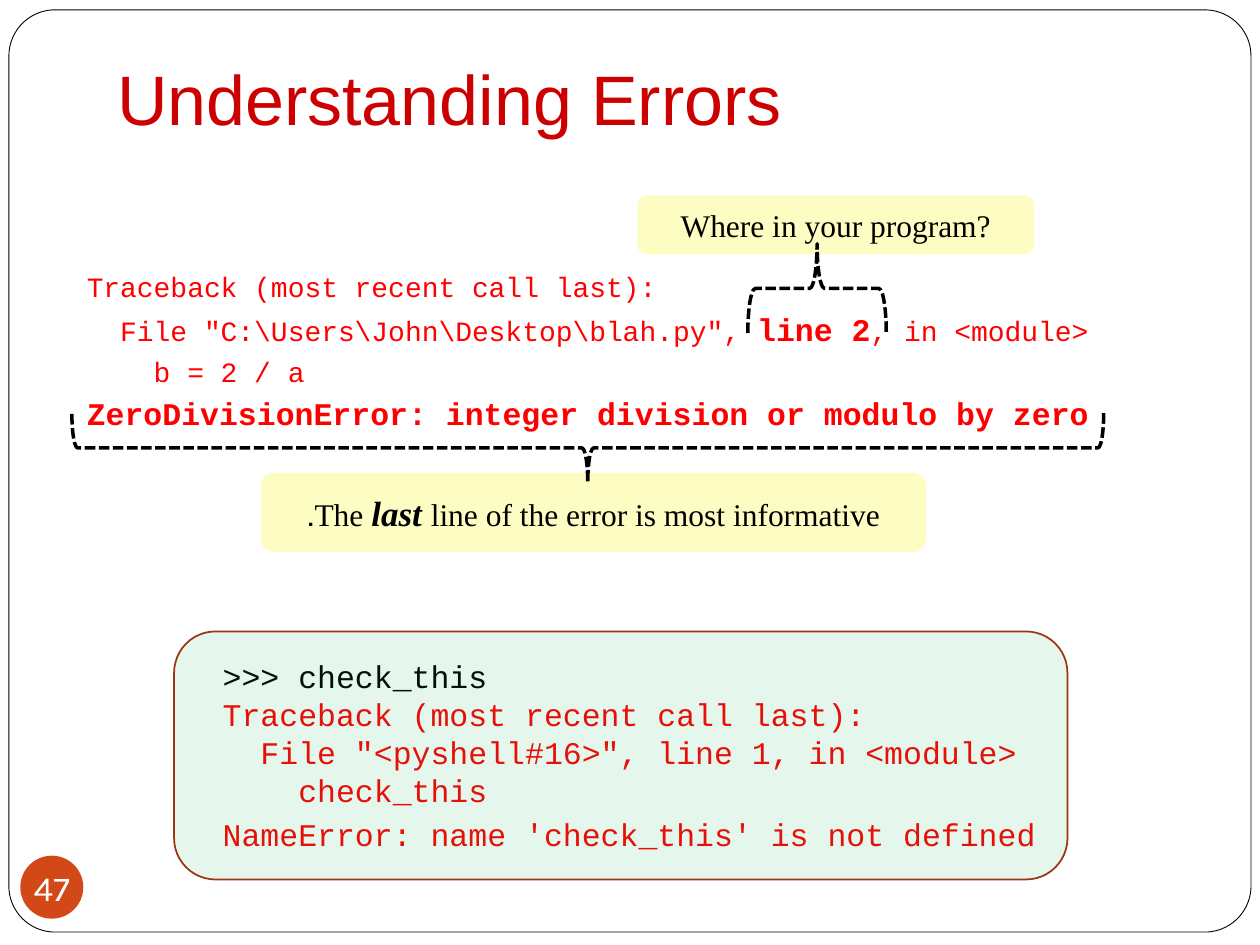
import pptx
import pptx.util
import pptx.dml.color
import pptx.enum.dml
import pptx.enum.shapes
import pptx.enum.text
import lxml.etree

Cm, Pt = pptx.util.Cm, pptx.util.Pt
SHAPE = pptx.enum.shapes.MSO_SHAPE
ALIGN = pptx.enum.text.PP_ALIGN
ANCHOR = pptx.enum.text.MSO_ANCHOR
DASH = pptx.enum.dml.MSO_LINE.SQUARE_DOT

RED, BLACK, WHITE, CREAM = "FF0000", "000000", "FFFFFF", "FDFDC3"

TITLE = {"size": 40, "name": "Arial", "color": "CC0000"}
NUMBER = {"size": 20, "name": "Karla", "color": WHITE}
NOTE = {"size": 18, "name": "Times New Roman", "color": BLACK}
STRESS = {**NOTE, "size": 20, "bold": True, "italic": True}
TRACE = {"size": 16, "name": "Courier New", "color": RED}
KEY = {**TRACE, "size": 18, "bold": True}
ERROR = {**TRACE, "size": 18}
PROMPT = {**ERROR, "color": BLACK}

traceback_lines = [
    [("Traceback (most recent call last):", TRACE)],
    [('  File "C:\\Users\\John\\Desktop\\blah.py", ', TRACE), ("line 2", KEY),
     (", in <module>", TRACE)],
    [("    b = 2 / a", TRACE)],
    [("ZeroDivisionError: integer division or modulo by zero", KEY)],
]
shell_lines = [
    [(">>> check_this", PROMPT)],
    [("Traceback (most recent call last):", ERROR)],
    [('  File "<pyshell#16>", line 1, in <module>', ERROR)],
    [("    check_this", ERROR)],
    [("NameError: name 'check_this' is not defined", ERROR)],
]
where_note = [[("Where in your program?", NOTE)]]
last_note = [[("The ", NOTE), ("last ", STRESS),
              ("line of the error is most informative.", NOTE)]]

callouts = [
    ((12.85, 3.94, 8, 1.19), where_note, False),
    ((5.26, 9.53, 13.41, 1.6), last_note, True),
]
braces = [
    ((11.15, -1.37, 1.4, 20.8), 270),
    ((15.57, 4.42, 1.8, 2.79), 90),
]


def rgb(value):
    return pptx.dml.color.RGBColor.from_string(value)


def add_outline(kind, box, fill=None, line=None, width=1, adjust=None):
    shape = slide.shapes.add_shape(kind, *map(Cm, box))
    shape.shadow.inherit = False
    if adjust is not None:
        shape.adjustments[0] = adjust
    if fill:
        shape.fill.solid()
        shape.fill.fore_color.rgb = rgb(fill)
    else:
        shape.fill.background()
    if line:
        shape.line.color.rgb = rgb(line)
        shape.line.width = Pt(width)
    else:
        shape.line.fill.background()
    return shape


def write(shape, lines, align=ALIGN.LEFT, rtl=False, line_factor=None,
          before=(), **frame_format):
    frame = shape.text_frame
    for key, value in {"word_wrap": True, **frame_format}.items():
        setattr(frame, key, value)
    for index, runs in enumerate(lines):
        paragraph = frame.add_paragraph() if index else frame.paragraphs[0]
        paragraph.alignment = align
        if rtl:
            paragraph._p.get_or_add_pPr().set("rtl", "1")
        if line_factor:
            tallest = max(style["size"] for _, style in runs)
            paragraph.line_spacing = Pt(round(tallest * line_factor, 1))
        if before and index:
            paragraph.space_before = Pt(before[index])
        for text, style in runs:
            run = paragraph.add_run()
            run.text = text
            for key, value in style.items():
                if key == "color":
                    run.font.color.rgb = rgb(value)
                else:
                    setattr(run.font, key, Pt(value) if key == "size" else value)


def add_text(box, lines, **text_format):
    write(slide.shapes.add_textbox(*map(Cm, box)), lines, **text_format)


presentation = pptx.Presentation()
presentation.slide_width, presentation.slide_height = Cm(25.4), Cm(19.05)
slide = presentation.slides.add_slide(presentation.slide_layouts[6])

add_outline(SHAPE.ROUNDED_RECTANGLE, (0.18, 0.2, 25.04, 18.59), WHITE, BLACK, 0.5, 0.05)

add_text((1.5, 5.38, 21.59, 4.06), traceback_lines, line_factor=1.08,
         before=[5.8] * len(traceback_lines))

badge = add_outline(SHAPE.OVAL, (0.41, 17.25, 1.27, 1.27), "D34817")
write(badge, [[("47", NUMBER)]], ALIGN.CENTER, word_wrap=False,
      vertical_anchor=ANCHOR.MIDDLE, margin_left=0, margin_right=0,
      margin_top=0, margin_bottom=0)

for box, note, rtl in callouts:
    callout = add_outline(SHAPE.ROUNDED_RECTANGLE, box, CREAM)
    write(callout, note, ALIGN.CENTER, rtl, vertical_anchor=ANCHOR.MIDDLE)

for box, turn in braces:
    brace = add_outline(SHAPE.LEFT_BRACE, box, line=BLACK, width=2)
    brace.rotation = turn
    brace.line.dash_style = DASH

add_text((2.11, 0.79, 19.81, 2.34), [[("Understanding Errors", TITLE)]],
         vertical_anchor=ANCHOR.MIDDLE)

add_text((4.24, 13.13, 20.27, 4.27), shell_lines, line_factor=1.2,
         before=[0, 0, 0, 0, 3.5])

shell_panel = add_outline(SHAPE.ROUNDED_RECTANGLE, (3.51, 12.73, 18.01, 5),
                          "00B050", "9C3511")
tint = shell_panel.fill._xPr.find(".//" + pptx.oxml.ns.qn("a:srgbClr"))
lxml.etree.SubElement(tint, pptx.oxml.ns.qn("a:alpha"), val="10000")

presentation.save("out.pptx")
